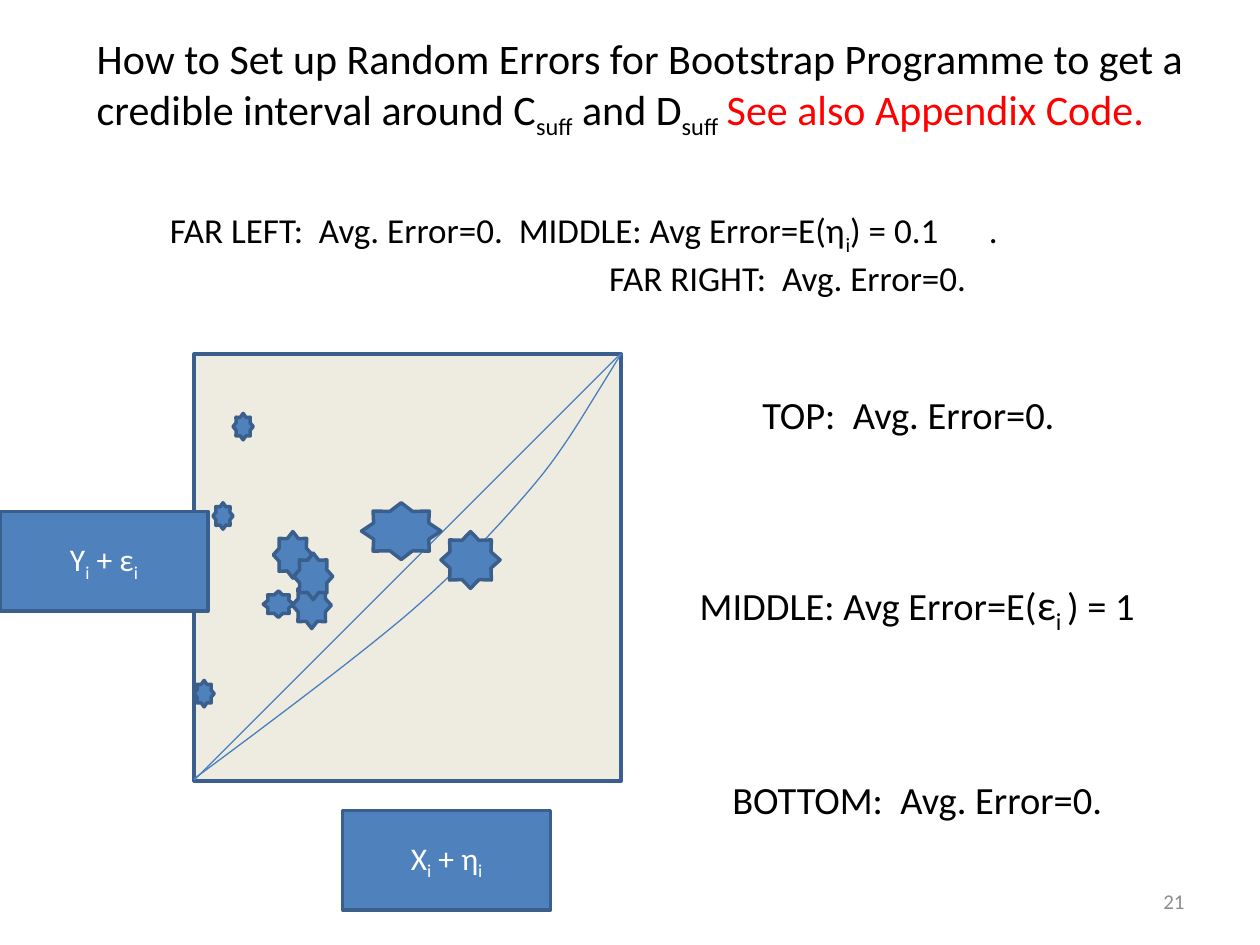
from pptx import Presentation
from pptx.dml.color import RGBColor
from pptx.enum.shapes import MSO_CONNECTOR, MSO_SHAPE
from pptx.enum.text import MSO_ANCHOR, MSO_AUTO_SIZE, PP_ALIGN
from pptx.oxml.ns import qn
from pptx.util import Pt
from lxml import etree

RECTANGLE = MSO_SHAPE.RECTANGLE
STAR = MSO_SHAPE.STAR_8_POINT
STRAIGHT = MSO_CONNECTOR.STRAIGHT
TOP, MIDDLE = MSO_ANCHOR.TOP, MSO_ANCHOR.MIDDLE
LEFT, CENTER, RIGHT = PP_ALIGN.LEFT, PP_ALIGN.CENTER, PP_ALIGN.RIGHT
NO_AUTOFIT = MSO_AUTO_SIZE.NONE

FONT = "Calibri"
COLORS = {
    "text": "000000",
    "accent": "FF0000",
    "muted": "8C8C8C",
    "light": "FFFFFF",
    "plot": "EEECE1",
    "marker": "4F81BD",
    "outline": "3A5F8C",
    "curve": "4B7EBC",
}

PLOT = (111, 202.3, 244, 244)
DIAGONAL = (111, 445.7, 354.4, 202.3)
CURVE_START = (110.9, 445)
CURVE_SEGMENTS = [
    ((146.2, 419), (181.4, 392.4), (205.9, 373)),
    ((230.4, 353.5), (240.5, 344.9), (257.8, 328.3)),
    ((275, 311), (295.9, 288.7), (310.3, 270.7)),
    ((324, 253.4), (334.8, 234.7), (342, 223.2)),
    ((349.2, 211.7), (352.1, 206.6), (355, 202.3)),
]
STEPS = 10
STARS = [
    (206.6, 287.3, 45.4, 32.4),
    (252, 303.8, 33.8, 32.4),
    (167, 332.6, 22.3, 26.6),
    (150.5, 337.7, 17.3, 15.1),
    (133.2, 236.2, 11.5, 15.1),
    (156.2, 303.8, 22.3, 26.6),
    (110.9, 388.8, 11.5, 15.1),
    (167.8, 316.1, 22.3, 26.6),
    (121.7, 287.3, 11.5, 15.1),
]
AXIS_LABELS = [("X", "η", (195.8, 463)), ("Y", "ε", (0, 292.3))]
AXIS_LABEL_SIZE = (118.8, 56.9)


def points(values):
    return [Pt(value) for value in values]


def add_span(para, text, size=18, color="text", subscript=False):
    span = para.add_run()
    span.text = text
    span.font.name = FONT
    span.font.size = Pt(size)
    span.font.color.rgb = RGBColor.from_string(COLORS[color])
    if subscript:
        span.font._element.set("baseline", "-25000")


def add_para(frame, spans, align=LEFT, before=0, indent=0, tab=None, **style):
    para = frame.paragraphs[0]
    if para.runs:
        para = frame.add_paragraph()
    para.alignment = align
    para.space_before = Pt(before)
    properties = para._p.get_or_add_pPr()
    properties.set("marL", str(Pt(indent)))
    properties.set("indent", "0")
    if tab is not None:
        stops = etree.SubElement(properties, qn("a:tabLst"))
        etree.SubElement(stops, qn("a:tab"), pos=str(Pt(tab)), algn="l")
    for text, changes in spans:
        add_span(para, text, **{**style, **changes})


def prepare_frame(box, anchor=MIDDLE):
    frame = box.text_frame
    frame.word_wrap = True
    frame.auto_size = NO_AUTOFIT
    frame.vertical_anchor = anchor
    return frame


def add_text_box(page, bounds, anchor=MIDDLE):
    return prepare_frame(page.shapes.add_textbox(*points(bounds)), anchor)


def add_block(page, kind, bounds, fill="marker"):
    block = page.shapes.add_shape(kind, *points(bounds))
    block.shadow.inherit = False
    block.fill.solid()
    block.fill.fore_color.rgb = RGBColor.from_string(COLORS[fill])
    set_line(block, "outline", 2)
    return block


def set_line(shape, color, width):
    shape.line.color.rgb = RGBColor.from_string(COLORS[color])
    shape.line.width = Pt(width)


def add_line(page, ends):
    line = page.shapes.add_connector(STRAIGHT, *points(ends))
    set_line(line, "curve", 0.75)
    etree.SubElement(line._element.spPr, qn("a:effectLst"))


def bezier(start, first, second, end, t):
    weights = ((1 - t) ** 3, 3 * t * (1 - t) ** 2, 3 * t * t * (1 - t), t ** 3)
    corners = (start, first, second, end)
    return tuple(
        Pt(sum(weight * corner[axis] for weight, corner in zip(weights, corners)))
        for axis in (0, 1)
    )


def add_curve(page, start, segments):
    builder = page.shapes.build_freeform(*points(start))
    for first, second, end in segments:
        vertices = [
            bezier(start, first, second, end, step / STEPS)
            for step in range(1, STEPS + 1)
        ]
        builder.add_line_segments(vertices, close=False)
        start = end
    curve = builder.convert_to_shape()
    curve.shadow.inherit = False
    curve.fill.background()
    set_line(curve, "curve", 0.75)


def add_title(page):
    title = page.shapes.title
    title.left, title.top, title.width, title.height = points((0, 100, 684, 90))
    frame = prepare_frame(title)
    frame.margin_left = Pt(97)
    sub = {"subscript": True}
    add_para(frame, [
        ("FAR LEFT:  Avg. Error=0.  MIDDLE: Avg Error=E(η", {}),
        ("i", sub),
        (") = 0.1\t.", {}),
    ], tab=484.7, size=20)
    add_para(frame, [("FAR RIGHT:  Avg. Error=0.", {})], indent=251, size=20)


def add_heading(page):
    frame = add_text_box(page, (48.2, 15.1, 635, 65.5), TOP)
    sub = {"subscript": True}
    add_para(frame, [
        ("How to Set up Random Errors for Bootstrap Programme to get a "
         "credible interval around C", {}),
        ("suff", sub),
        (" and D", {}),
        ("suff", sub),
        ("\tSee also Appendix Code.", {"color": "accent"}),
    ], tab=371, size=24)


def add_plot(page):
    add_block(page, RECTANGLE, PLOT, fill="plot")
    add_line(page, DIAGONAL)
    add_curve(page, CURVE_START, CURVE_SEGMENTS)
    for bounds in STARS:
        add_block(page, STAR, bounds)
    sub = {"subscript": True}
    for variable, error, corner in AXIS_LABELS:
        label = add_block(page, RECTANGLE, corner + AXIS_LABEL_SIZE)
        add_para(prepare_frame(label), [
            (variable, {}), ("i", sub), (" + " + error, {}), ("i", sub),
        ], align=CENTER, color="light")


def add_error_levels(page):
    frame = add_text_box(page, (382.3, 190.8, 283.7, 311.8))
    levels = [
        [("TOP:  Avg. Error=0.  ", {})],
        [("MIDDLE: Avg Error=E(", {}), ("ε", {"size": 24}),
         ("i ", {"size": 24, "subscript": True}), (") = 1", {})],
        [("BOTTOM:  Avg. Error=0.", {})],
    ]
    for index, spans in enumerate(levels):
        add_para(frame, spans, align=CENTER, before=80.5 if index else 0, size=22)


def main():
    deck = Presentation()
    deck.slide_width, deck.slide_height = Pt(720), Pt(540)
    page = deck.slides.add_slide(deck.slide_layouts[5])
    add_title(page)
    add_plot(page)
    add_error_levels(page)
    number = add_text_box(page, (516, 500.5, 168, 28.8))
    add_para(number, [("21", {})], align=RIGHT, size=12, color="muted")
    add_heading(page)
    deck.save("out.pptx")


main()
